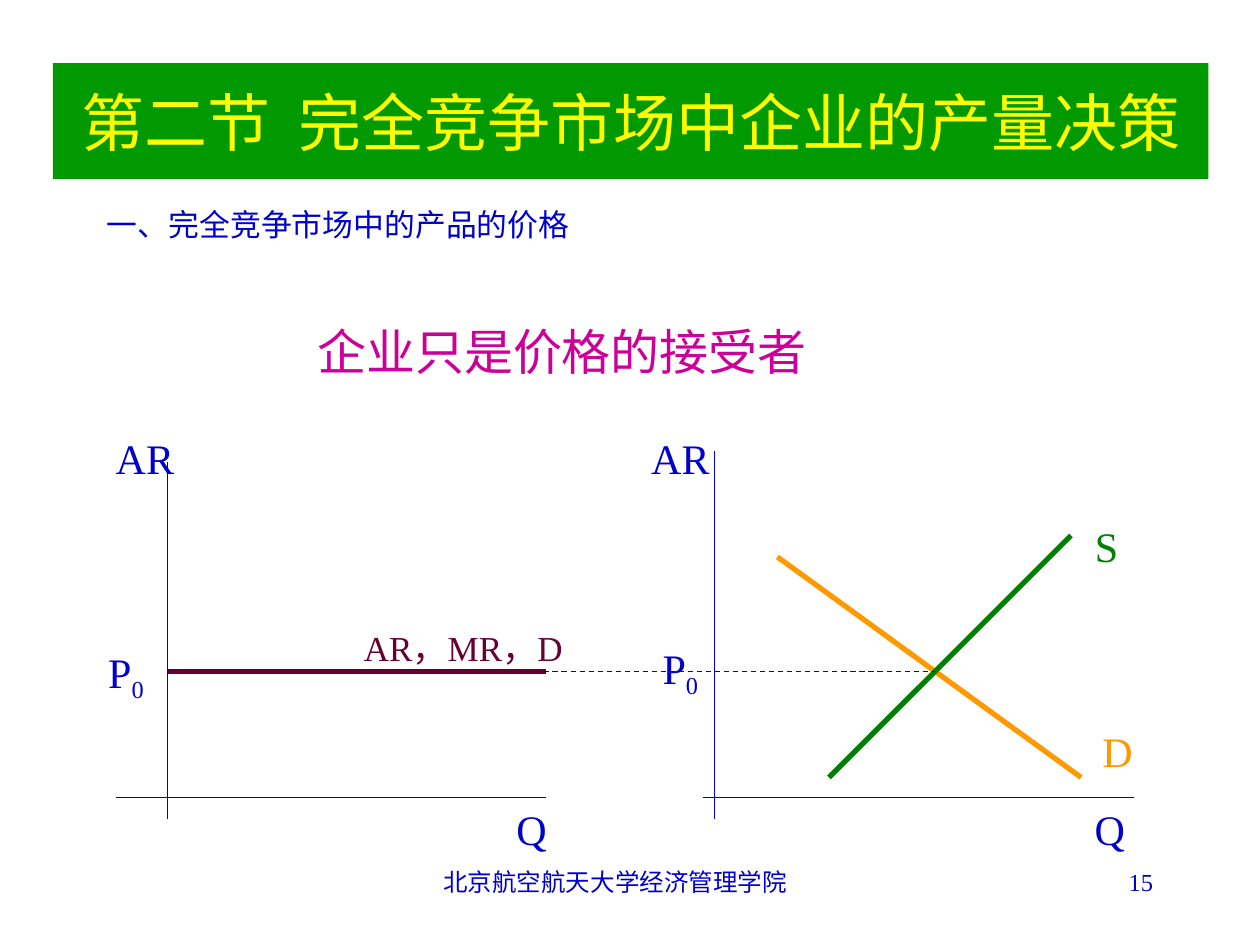
from lxml.etree import SubElement
from pptx import Presentation
from pptx.dml.color import RGBColor
from pptx.enum.dml import MSO_LINE_DASH_STYLE as DASH
from pptx.enum.shapes import MSO_CONNECTOR
from pptx.enum.text import MSO_ANCHOR, MSO_AUTO_SIZE, PP_ALIGN
from pptx.oxml.ns import qn
from pptx.util import Inches, Pt

FONT = "Times New Roman"
BLUE = RGBColor(0x00, 0x00, 0xCC)
GREEN = RGBColor(0x00, 0x80, 0x00)
BANNER = RGBColor(0x00, 0x99, 0x00)
YELLOW = RGBColor(0xFF, 0xFF, 0x00)
ORANGE = RGBColor(0xFF, 0x99, 0x00)
PLUM = RGBColor(0x66, 0x00, 0x33)
MAGENTA = RGBColor(0xCC, 0x00, 0x99)

TITLE = "第二节  完全竞争市场中企业的产量决策"
PRICE_Y, BASE_Y, AXIS_END = 5.33, 6.33, 6.5

# fmt: off
BLOCKS = [
    ("北京航空航天大学经济管理学院", 3.42, 6.83, 3.17, 0.5, 14, PP_ALIGN.LEFT),
    ("15", 7.17, 6.83, 2.08, 0.5, 14, PP_ALIGN.RIGHT),
    ("一、完全竞争市场中的产品的价格", 0.75, 1.58, 8.5, 0.75, 17.6, PP_ALIGN.LEFT),
]
LINES = [
    (1.33, 3.67, 1.33, AXIS_END, BLUE, 0.75, None),
    (0.92, BASE_Y, 4.33, BASE_Y, BLUE, 0.75, None),
    (5.67, 3.58, 5.67, AXIS_END, BLUE, 0.75, None),
    (5.58, BASE_Y, 9, BASE_Y, BLUE, 0.75, None),
    (1.33, PRICE_Y, 4.33, PRICE_Y, PLUM, 3, None),
    (6.17, 4.42, 8.58, 6.17, ORANGE, 3, None),
    (6.58, 6.17, 8.5, 4.25, GREEN, 3, None),
    (4.17, PRICE_Y, 7.42, PRICE_Y, BLUE, 0.75, DASH.DASH),
]
LABELS = [
    ("AR，MR，D", "", 2.79, 4.92, 2.04, 0.44, 20, PLUM),
    ("AR", "", 0.82, 3.38, 0.66, 0.5, 24, BLUE),
    ("AR", "", 5.07, 3.38, 0.66, 0.5, 24, BLUE),
    ("Q", "", 4, BASE_Y, 0.44, 0.5, 24, BLUE),
    ("Q", "", 8.59, BASE_Y, 0.44, 0.5, 24, BLUE),
    ("P", "0", 0.76, 5.08, 0.48, 0.56, 24, BLUE),
    ("P", "0", 5.16, 5.05, 0.48, 0.56, 24, BLUE),
    ("D", "", 8.65, 5.71, 0.44, 0.5, 24, ORANGE),
    ("S", "", 8.59, 4.08, 0.38, 0.5, 24, GREEN),
    ("企业只是价格的接受者", "", 2.42, 2.5, 4.08, 0.57, 28, MAGENTA),
]
# fmt: on


def add_run(p, text, size, color):
    r = p.add_run()
    r.text = text
    r.font.name = FONT
    r.font.size = Pt(size)
    r.font.color.rgb = color
    return r


def add_box(slide, x, y, w, h, wrap):
    sp = slide.shapes.add_textbox(Inches(x), Inches(y), Inches(w), Inches(h))
    tf = sp.text_frame
    tf.word_wrap = wrap
    tf.auto_size = MSO_AUTO_SIZE.NONE if wrap else MSO_AUTO_SIZE.SHAPE_TO_FIT_TEXT
    return tf.paragraphs[0]


def add_title(slide):
    sp = slide.shapes.title
    sp.left, sp.top = Inches(0.42), Inches(0.5)
    sp.width, sp.height = Inches(9.17), Inches(0.92)
    sp.fill.solid()
    sp.fill.fore_color.rgb = BANNER
    tf = sp.text_frame
    tf.auto_size = MSO_AUTO_SIZE.NONE
    tf.vertical_anchor = MSO_ANCHOR.MIDDLE
    p = tf.paragraphs[0]
    p.alignment = PP_ALIGN.CENTER
    add_run(p, TITLE, 36, YELLOW)


def add_line(slide, x1, y1, x2, y2, color, width, dash):
    line = slide.shapes.add_connector(
        MSO_CONNECTOR.STRAIGHT, Inches(x1), Inches(y1), Inches(x2), Inches(y2)
    )
    line.line.color.rgb = color
    line.line.width = Pt(width)
    if dash:
        line.line.dash_style = dash
    SubElement(line._element.spPr, qn("a:effectLst"))


def add_label(slide, text, sub, x, y, w, h, size, color):
    p = add_box(slide, x, y, w, h, False)
    add_run(p, text, size, color)
    if sub:
        r = add_run(p, sub, size, color)
        r._r.get_or_add_rPr().set("baseline", "-25000")


def main():
    prs = Presentation()
    prs.slide_width, prs.slide_height = Inches(10), Inches(7.5)
    slide = prs.slides.add_slide(prs.slide_layouts[5])
    add_title(slide)
    for text, x, y, w, h, size, align in BLOCKS:
        p = add_box(slide, x, y, w, h, True)
        p.alignment = align
        add_run(p, text, size, BLUE)
    for line in LINES:
        add_line(slide, *line)
    for label in LABELS:
        add_label(slide, *label)
    prs.save("out.pptx")


if __name__ == "__main__":
    main()
